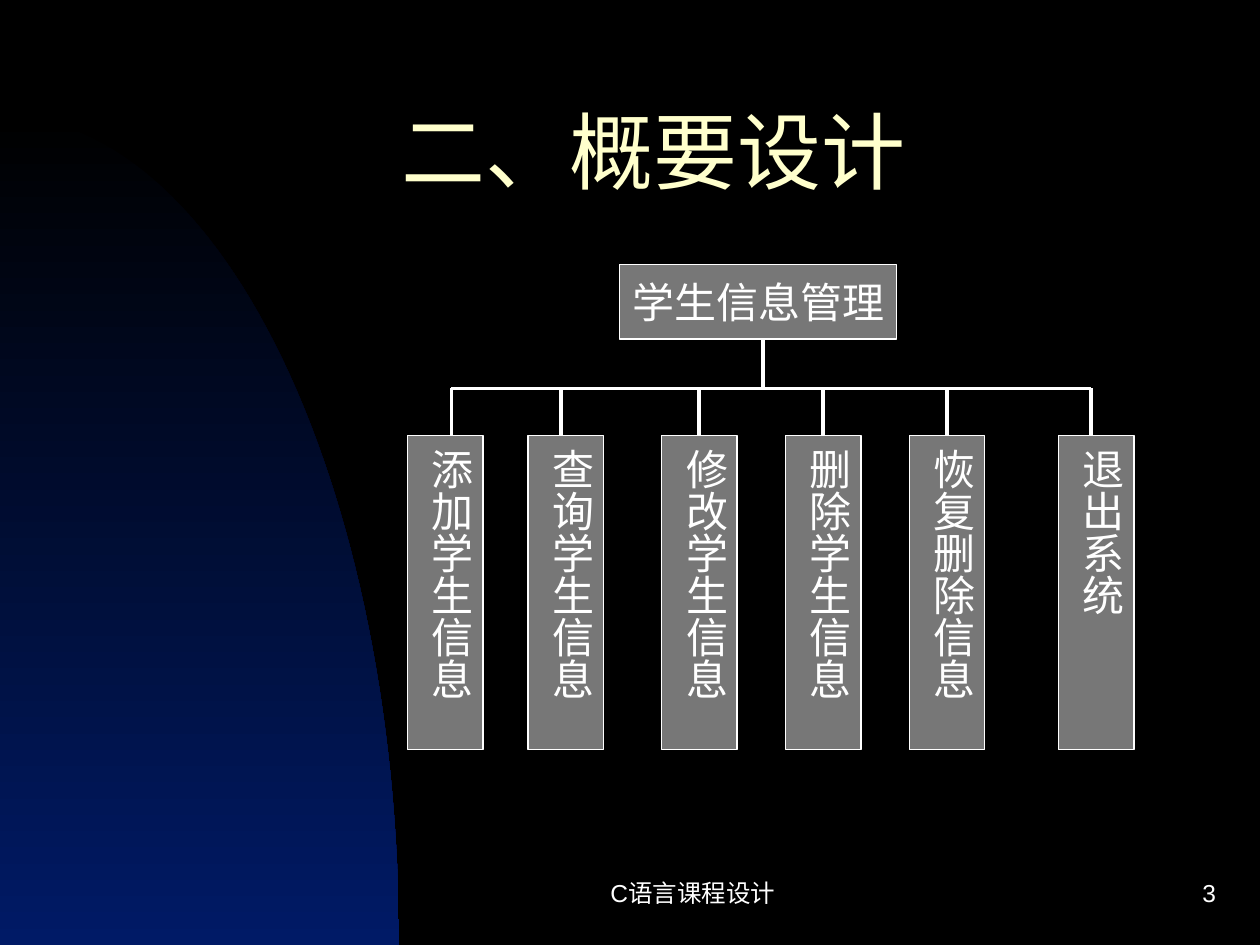
from math import cos, pi, sin

from lxml.etree import SubElement
from pptx import Presentation
from pptx.dml.color import RGBColor
from pptx.enum.shapes import MSO_CONNECTOR, MSO_SHAPE
from pptx.enum.text import MSO_ANCHOR, MSO_AUTO_SIZE, PP_ALIGN
from pptx.oxml.ns import qn
from pptx.util import Inches, Pt

COLORS = {"background": "000000", "title": "FFFFCC", "text": "FFFFFF",
          "box": "777777", "line": "FFFFFF",
          "arc_top": "000000", "arc_bottom": "001A66"}
FONTS = {"title": "Noto Sans CJK SC", "box": "Times New Roman", "footer": "Arial"}
COLUMNS, ROWS = 120, 90
BUS_ROW, MODULE_ROW = 37, 41.5
MODULE_WIDTH, MODULE_HEIGHT = 7.2, 29.9

# Module name, left column of its box, column of its branch
MODULES = [
    ("添加学生信息", 38.8, 43),
    ("查询学生信息", 50.3, 53.4),
    ("修改学生信息", 63, 66.6),
    ("删除学生信息", 74.8, 78.4),
    ("恢复删除信息", 86.6, 90.2),
    ("退出系统", 100.8, 103.9),
]


def color(name):
    return RGBColor.from_string(COLORS[name])


class SlideBuilder:
    def __init__(self, deck):
        self.column = deck.slide_width / COLUMNS
        self.row = deck.slide_height / ROWS
        self.slide = deck.slides.add_slide(deck.slide_layouts[5])
        self.shapes = self.slide.shapes
        fill = self.slide.background.fill
        fill.solid()
        fill.fore_color.rgb = color("background")

    def place(self, *lengths):
        """Turn alternating columns and rows into slide lengths."""
        units = (self.column, self.row)
        return [round(length * units[i % 2]) for i, length in enumerate(lengths)]

    def set_text(self, frame, text, font, size, align, tint="text"):
        frame.text = text
        para = frame.paragraphs[0]
        para.alignment = align
        para.font.name = FONTS[font]
        para.font.size = Pt(size)
        para.font.bold = False
        para.font.color.rgb = color(tint)
        return para

    def arc(self, top, width, steps=60):
        """Draw the quarter ellipse in the lower left corner."""
        height = ROWS - top
        angles = [pi / 2 * i / steps for i in range(steps + 1)]
        points = [self.place(width * sin(a), ROWS - height * cos(a)) for a in angles]
        outline = self.shapes.build_freeform(*points[0])
        outline.add_line_segments(points[1:] + [self.place(0, ROWS)], close=True)
        shape = outline.convert_to_shape()
        shape.shadow.inherit = False
        shape.line.fill.background()
        shape.fill.gradient()
        shape.fill.gradient_angle = 270
        for stop, name in zip(shape.fill.gradient_stops, ("arc_top", "arc_bottom")):
            stop.color.rgb = color(name)

    def title(self, text, *area):
        title = self.shapes.title
        title.left, title.top, title.width, title.height = self.place(*area)
        frame = title.text_frame
        frame.auto_size = MSO_AUTO_SIZE.NONE
        frame.vertical_anchor = MSO_ANCHOR.MIDDLE
        para = self.set_text(frame, text, "title", 48, PP_ALIGN.LEFT, "title")
        para.line_spacing = 0.7
        east_asian = SubElement(para.runs[0].font._element, qn("a:ea"))
        east_asian.set("typeface", FONTS["title"])

    def box(self, text, *area, vertical=False):
        box = self.shapes.add_shape(MSO_SHAPE.RECTANGLE, *self.place(*area))
        box.shadow.inherit = False
        box.fill.solid()
        box.fill.fore_color.rgb = color("box")
        box.line.color.rgb = color("line")
        box.line.width = Pt(0.75)
        frame = box.text_frame
        frame.word_wrap = vertical
        frame.vertical_anchor = MSO_ANCHOR.MIDDLE
        if vertical:
            frame.vertical_anchor = MSO_ANCHOR.TOP
            frame.margin_left = frame.margin_right = Inches(0.05)
            frame.margin_top = frame.margin_bottom = Inches(0.1)
            frame._txBody.bodyPr.set("vert", "eaVert")
        self.set_text(frame, text, "box", 24, PP_ALIGN.CENTER)
        return box

    def line(self, *ends):
        line = self.shapes.add_connector(MSO_CONNECTOR.STRAIGHT, *self.place(*ends))
        line.line.color.rgb = color("line")
        line.line.width = Pt(2.25)
        SubElement(line._element.spPr, qn("a:effectLst"))
        return line

    def footer(self, text, align, *area):
        frame = self.shapes.add_textbox(*self.place(*area)).text_frame
        frame.word_wrap = True
        frame.vertical_anchor = MSO_ANCHOR.MIDDLE
        self.set_text(frame, text, "footer", 14, align)


def main():
    deck = Presentation()
    deck.slide_width, deck.slide_height = Inches(10), Inches(7.5)
    page = SlideBuilder(deck)
    page.arc(11, 38)
    page.title("二、概要设计", 37, 8, 80, 15)

    page.box("学生信息管理", 59, 25.2, 26.4, 7.1)
    page.line(72.7, 32.3, 72.7, BUS_ROW)
    page.line(MODULES[0][2], BUS_ROW, MODULES[-1][2], BUS_ROW)
    for name, left, branch in MODULES:
        box = page.box(name, left, MODULE_ROW, MODULE_WIDTH, MODULE_HEIGHT,
                       vertical=True)
        line = page.line(branch, BUS_ROW, branch, MODULE_ROW)
        if abs(left + MODULE_WIDTH / 2 - branch) < 0.1:
            line.end_connect(box, 0)

    page.footer("C语言课程设计", PP_ALIGN.CENTER, 47, 82, 38, 6)
    page.footer("3", PP_ALIGN.RIGHT, 92, 82, 25, 6)
    deck.save("out.pptx")


if __name__ == "__main__":
    main()
